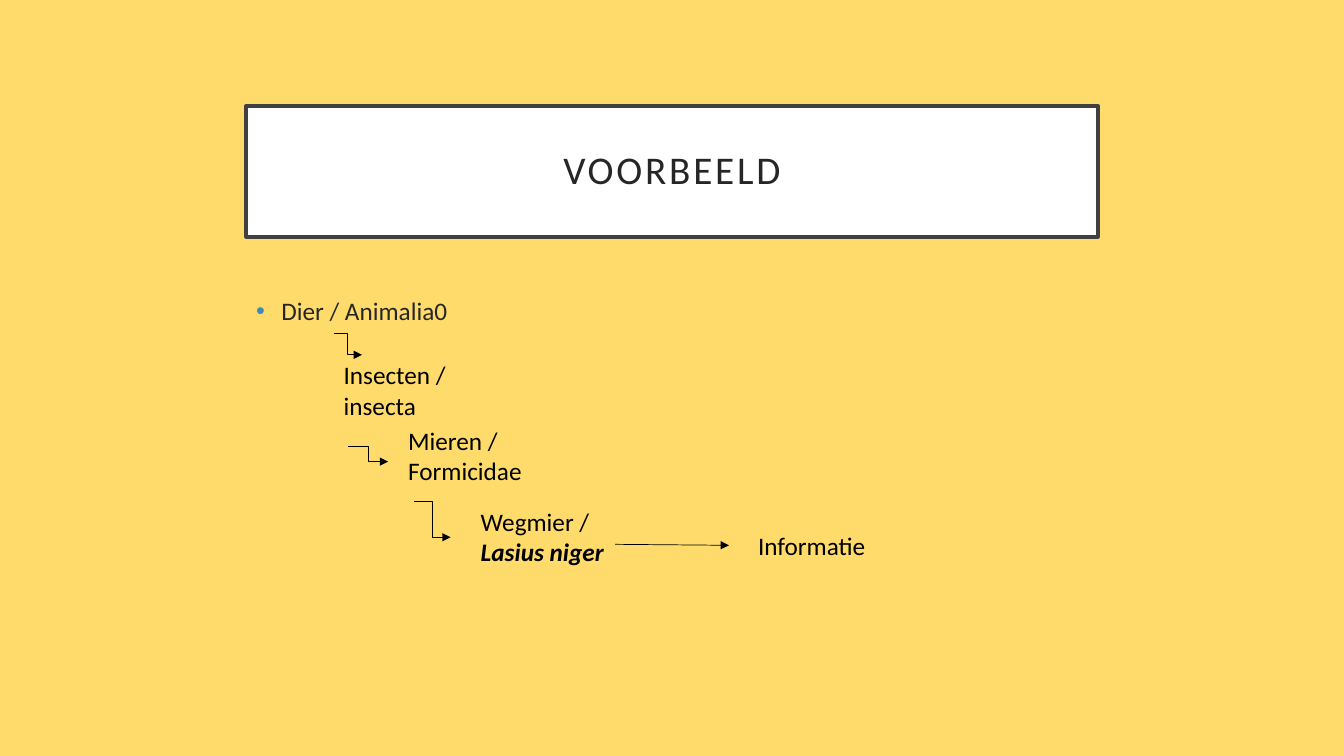
import pptx
import pptx.util
import pptx.dml.color
import pptx.enum.shapes
import pptx.enum.text
import pptx.oxml.ns
import lxml.etree
import dataclasses

Inches = pptx.util.Inches
Pt = pptx.util.Pt
Kind = pptx.enum.shapes.MSO_CONNECTOR
Text = pptx.enum.text


@dataclasses.dataclass(frozen=True)
class Theme:
    font: str = "Calibri"
    back: str = "FEDB6A"
    panel: str = "FFFFFF"
    frame: str = "404040"
    soft: str = "262626"
    ink: str = "000000"
    dot: str = "418AB3"
    head: float = 28
    base: float = 18
    edge: float = 2.5
    thin: float = 0.5


def tint(code):
    return pptx.dml.color.RGBColor.from_string(code)


def put(item, values):
    for name, value in values.items():
        setattr(item, name, value)


def add(parent, tag, **values):
    node = lxml.etree.SubElement(parent, pptx.oxml.ns.qn(tag))
    for name, value in values.items():
        node.set(name, value)
    return node


class Page:
    def __init__(self, deck, theme):
        self.theme = theme
        self.slide = deck.slides.add_slide(deck.slide_layouts[1])
        fill = self.slide.background.fill
        fill.solid()
        fill.fore_color.rgb = tint(theme.back)

    def place(self, shape, left, top, width, height):
        put(shape, {"left": Inches(left), "top": Inches(top),
                    "width": Inches(width), "height": Inches(height)})

    def letter(self, line, text, size, color, **style):
        run = line.add_run()
        run.text = text
        put(run.font, {"name": self.theme.font, "size": Pt(size), **style})
        run.font.color.rgb = tint(color)
        return run

    def title(self, text, *box):
        theme = self.theme
        shape = self.slide.shapes.title
        self.place(shape, *box)
        shape.fill.solid()
        shape.fill.fore_color.rgb = tint(theme.panel)
        shape.line.color.rgb = tint(theme.frame)
        shape.line.width = Pt(theme.edge)
        frame = shape.text_frame
        sides = ("left", "top", "right", "bottom")
        put(frame, {f"margin_{side}": Inches(0.2) for side in sides})
        put(frame, {"vertical_anchor": Text.MSO_ANCHOR.MIDDLE,
                    "auto_size": Text.MSO_AUTO_SIZE.NONE})
        line = frame.paragraphs[0]
        put(line, {"alignment": Text.PP_ALIGN.CENTER, "line_spacing": 0.9})
        run = self.letter(line, text, theme.head, theme.soft)
        run._r.get_or_add_rPr().set("spc", "200")

    def points(self, items, *box):
        theme = self.theme
        shape = self.slide.placeholders[1]
        self.place(shape, *box)
        frame = shape.text_frame
        frame.auto_size = Text.MSO_AUTO_SIZE.NONE
        for i, text in enumerate(items):
            line = frame.add_paragraph() if i else frame.paragraphs[0]
            line.space_before = Pt(10)
            props = line._p.get_or_add_pPr()
            props.set("marL", str(Inches(0.25)))
            props.set("indent", str(-Inches(0.25)))
            color = add(props, "a:buClr")
            add(color, "a:srgbClr", val=theme.dot)
            add(props, "a:buFont", typeface="Arial")
            add(props, "a:buChar", char="•")
            self.letter(line, text, theme.base, theme.soft)

    def label(self, parts, *box):
        shape = self.slide.shapes.add_textbox(*map(Inches, box))
        frame = shape.text_frame
        put(frame, {"word_wrap": True,
                    "auto_size": Text.MSO_AUTO_SIZE.SHAPE_TO_FIT_TEXT})
        for text, style in parts:
            self.letter(frame.paragraphs[0], text, self.theme.base,
                        self.theme.ink, **style)

    def arrow(self, kind, *ends):
        link = self.slide.shapes.add_connector(kind, *map(Inches, ends))
        link.line.color.rgb = tint(self.theme.ink)
        link.line.width = Pt(self.theme.thin)
        props = link._element.spPr
        add(props.find(pptx.oxml.ns.qn("a:ln")), "a:tailEnd", type="triangle")
        add(props, "a:effectLst")


def main():
    deck = pptx.Presentation()
    put(deck, {"slide_width": Inches(13.33), "slide_height": Inches(7.5)})
    page = Page(deck, Theme())
    page.title("VOORBEELD", 2.44, 1.05, 8.45, 1.3)
    page.points(["Dier / Animalia0"], 2.44, 2.88, 8.45, 3.39)

    strong = {"bold": True, "italic": True}
    labels = [
        ([("Insecten / insecta", {})], 3.31, 3.52, 1.28, 0.71),
        ([("Mieren / Formicidae", {})], 3.95, 4.17, 1.83, 0.71),
        ([("Wegmier / ", {}), ("Lasius niger", strong)], 4.67, 4.97, 1.76, 0.71),
        ([("Informatie", {})], 7.42, 5.21, 1.43, 0.4),
    ]
    for parts, *box in labels:
        page.label(parts, *box)

    arrows = [
        (Kind.ELBOW, 3.31, 3.31, 3.59, 3.52),
        (Kind.ELBOW, 3.45, 4.43, 3.85, 4.58),
        (Kind.ELBOW, 4.11, 4.97, 4.47, 5.33),
        (Kind.STRAIGHT, 6.1, 5.4, 7.23, 5.41),
    ]
    for kind, *ends in arrows:
        page.arrow(kind, *ends)
    deck.save("out.pptx")


if __name__ == "__main__":
    main()
